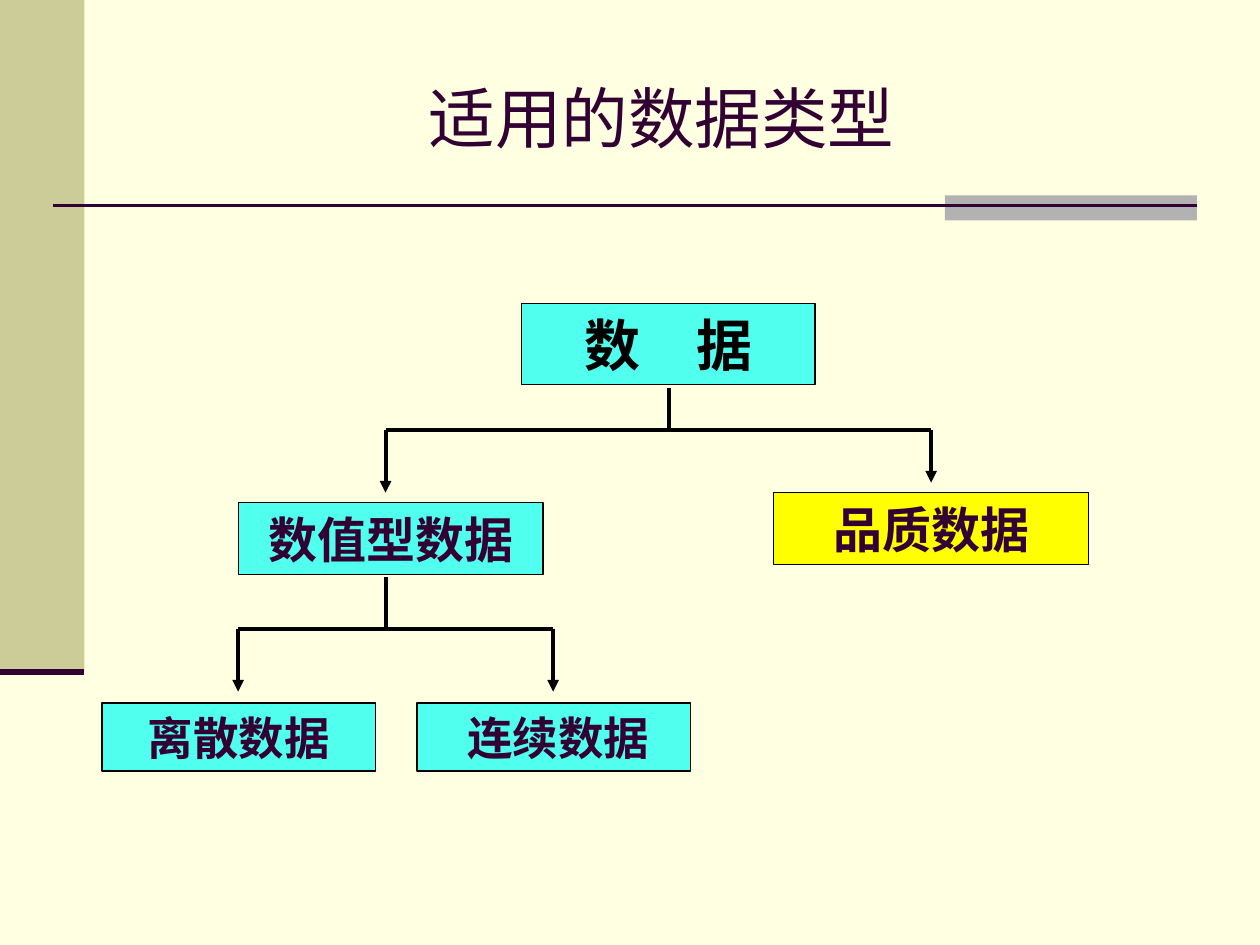
"""Build a slide with a tree of the data types that apply."""
from typing import NamedTuple

from lxml.etree import SubElement
from pptx import Presentation
from pptx.dml.color import RGBColor
from pptx.enum.shapes import MSO_CONNECTOR, MSO_SHAPE
from pptx.enum.text import MSO_ANCHOR, MSO_AUTO_SIZE, PP_ALIGN
from pptx.oxml.ns import qn
from pptx.util import Inches, Pt

COLORS = {
    "cream": "FFFFE1", "khaki": "CCCC99", "gray": "B2B2B2", "plum": "330033",
    "aqua": "51FFEE", "yellow": "FFFF00", "black": "000000",
}


class Node(NamedTuple):
    text: str
    left: float
    top: float
    width: float
    height: float
    size: int
    fill: str = "aqua"
    color: str = "plum"
    shift: float = 0


class Fork(NamedTuple):
    stem: float
    top: float
    bar: float
    drops: tuple[tuple[float, float], ...]


NODES = (
    Node("离散数据", 0.81, 5.58, 2.17, 0.54, 26),
    Node("连续数据", 3.31, 5.58, 2.17, 0.54, 26, shift=0.07),
    Node("数值型数据", 1.89, 3.99, 2.42, 0.57, 28),
    Node("数　据", 4.14, 2.41, 2.33, 0.64, 32, color="black"),
    Node("品质数据", 6.14, 3.91, 2.5, 0.57, 28, fill="yellow"),
)
FORKS = (
    Fork(5.31, 3.08, 3.41, ((3.06, 3.91), (7.39, 3.83))),
    Fork(3.06, 4.58, 4.99, ((1.89, 5.49), (4.39, 5.49))),
)


def shade(name: str) -> RGBColor:
    """Return the named color."""
    return RGBColor.from_string(COLORS[name])


def add_rect(slide, left: float, top: float, width: float, height: float, fill: str):
    """Add a plain filled rectangle."""
    rect = slide.shapes.add_shape(
        MSO_SHAPE.RECTANGLE, Inches(left), Inches(top), Inches(width), Inches(height))
    rect.shadow.inherit = False
    rect.fill.solid()
    rect.fill.fore_color.rgb = shade(fill)
    rect.line.fill.background()
    return rect


def add_line(slide, start: tuple[float, float], end: tuple[float, float],
             color: str = "black", width: float = 2.25, arrow: bool = False) -> None:
    """Add a straight line, with an arrowhead at its end if asked."""
    line = slide.shapes.add_connector(
        MSO_CONNECTOR.STRAIGHT, *(Inches(value) for value in start + end))
    line.line.color.rgb = shade(color)
    line.line.width = Pt(width)
    if arrow:
        SubElement(line.line._get_or_add_ln(), qn("a:tailEnd"), type="triangle")
    SubElement(line._element.spPr, qn("a:effectLst"))


def add_node(slide, node: Node) -> None:
    """Add one labelled box of the tree."""
    box = add_rect(slide, node.left, node.top, node.width, node.height, node.fill)
    box.line.color.rgb = shade("black")
    box.line.width = Pt(0.75)
    frame = box.text_frame
    frame.word_wrap = True
    frame.vertical_anchor = MSO_ANCHOR.MIDDLE
    frame.margin_left = Inches(0.1 + node.shift)
    para = frame.paragraphs[0]
    para.text = node.text
    para.alignment = PP_ALIGN.CENTER
    para.font.name = "Arial"
    para.font.size = Pt(node.size)
    para.font.bold = True
    para.font.color.rgb = shade(node.color)


def add_fork(slide, fork: Fork) -> None:
    """Add a stem, its crossbar and the arrows below."""
    ends = [x for x, _ in fork.drops]
    add_line(slide, (min(ends), fork.bar), (max(ends), fork.bar))
    add_line(slide, (fork.stem, fork.top), (fork.stem, fork.bar))
    for x, bottom in fork.drops:
        add_line(slide, (x, fork.bar), (x, bottom), arrow=True)


def add_title(slide, text: str) -> None:
    """Fill and place the title."""
    title = slide.shapes.title
    title.left, title.top = Inches(1), Inches(0.3)
    title.width, title.height = Inches(8.5), Inches(1.25)
    frame = title.text_frame
    frame.text = text
    frame.auto_size = MSO_AUTO_SIZE.NONE
    frame.vertical_anchor = MSO_ANCHOR.MIDDLE
    para = frame.paragraphs[0]
    para.alignment = PP_ALIGN.CENTER
    para.font.name = "Times New Roman"
    para.font.size = Pt(38)
    para.font.color.rgb = shade("plum")


def main() -> None:
    """Build and save the slide."""
    deck = Presentation()
    deck.slide_width, deck.slide_height = Inches(10), Inches(7.5)
    slide = deck.slides.add_slide(deck.slide_layouts[5])
    slide.background.fill.solid()
    slide.background.fill.fore_color.rgb = shade("cream")
    add_rect(slide, 0, 0, 0.67, 5.33, "khaki")
    add_rect(slide, 7.5, 1.55, 2, 0.2, "gray")
    add_line(slide, (0.42, 1.63), (9.5, 1.63), "plum", 1.5)
    add_line(slide, (0, 5.33), (0.67, 5.33), "plum", 3.5)
    add_title(slide, "适用的数据类型")
    for node in NODES:
        add_node(slide, node)
    for fork in FORKS:
        add_fork(slide, fork)
    deck.save("out.pptx")


if __name__ == "__main__":
    main()
